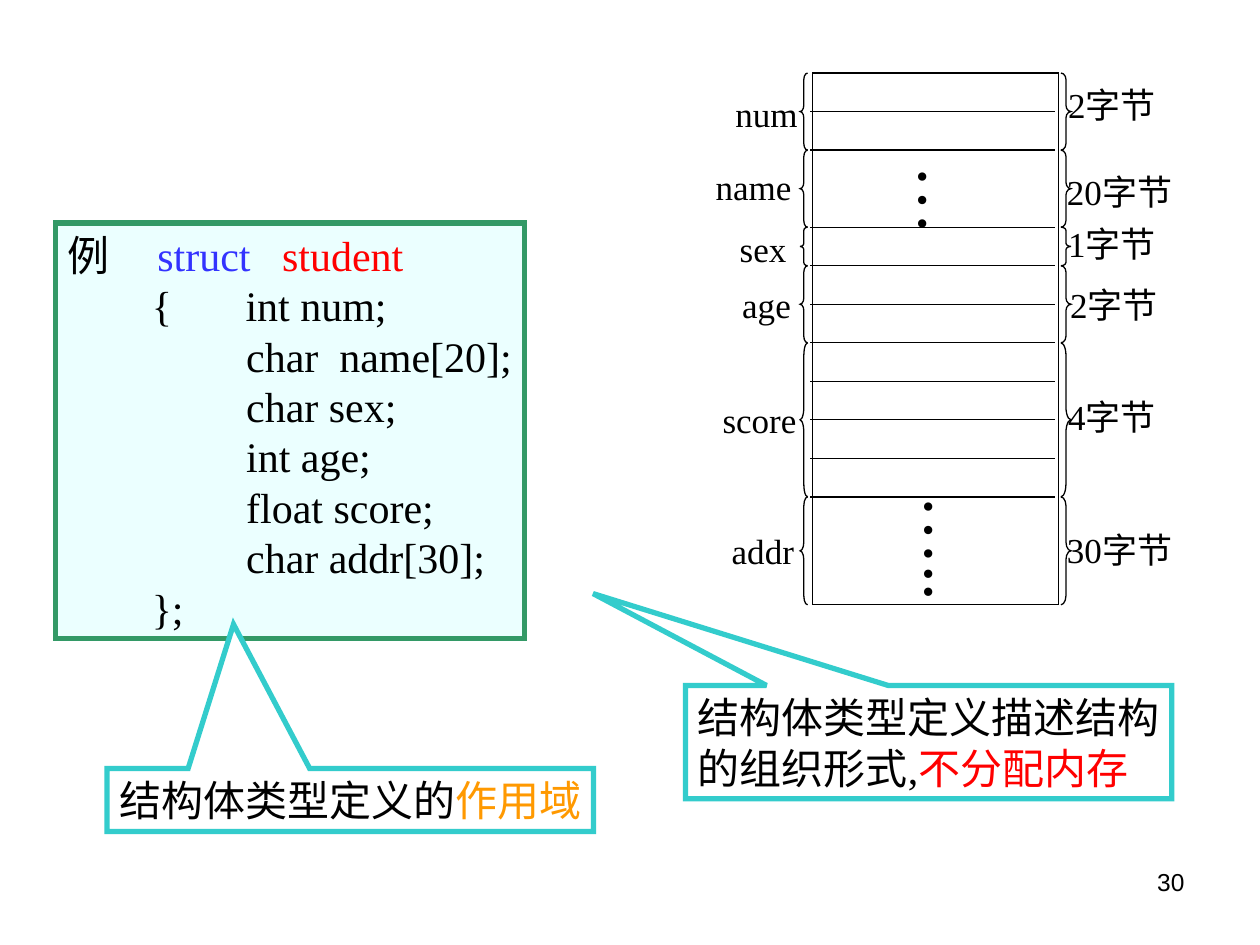
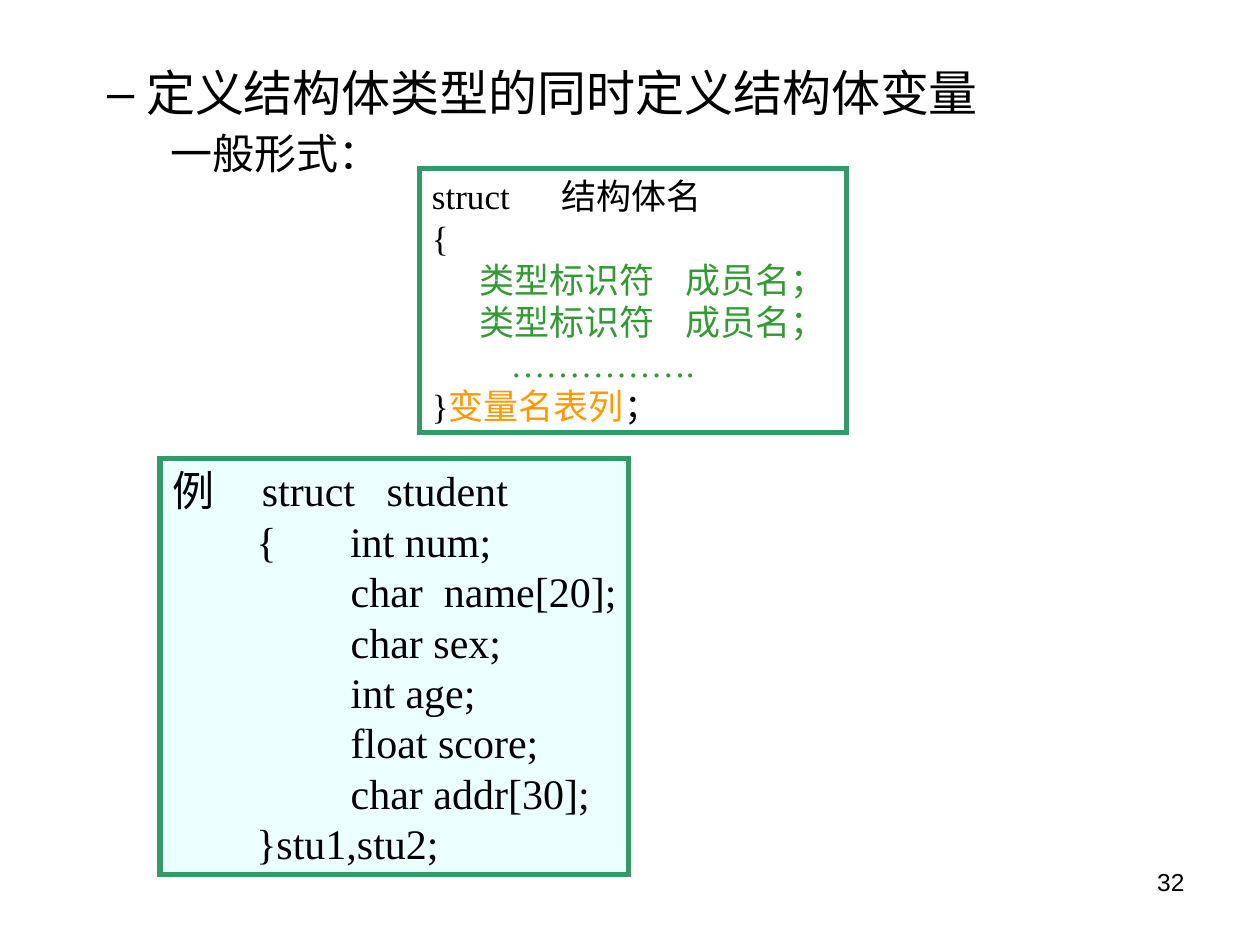
from collections import namedtuple

from lxml import etree
from pptx import Presentation
from pptx.dml.color import RGBColor
from pptx.enum.shapes import MSO_CONNECTOR, MSO_SHAPE
from pptx.enum.text import MSO_ANCHOR, MSO_AUTO_SIZE, PP_ALIGN
from pptx.oxml.ns import qn
from pptx.util import Inches, Pt

RECTANGLE = MSO_SHAPE.RECTANGLE
CALLOUT = MSO_SHAPE.RECTANGULAR_CALLOUT
LEFT_BRACE, RIGHT_BRACE = MSO_SHAPE.LEFT_BRACE, MSO_SHAPE.RIGHT_BRACE
STRAIGHT = MSO_CONNECTOR.STRAIGHT
LEFT, CENTER, RIGHT = PP_ALIGN.LEFT, PP_ALIGN.CENTER, PP_ALIGN.RIGHT
TOP, MIDDLE = MSO_ANCHOR.TOP, MSO_ANCHOR.MIDDLE
NO_AUTOFIT, GROW = MSO_AUTO_SIZE.NONE, MSO_AUTO_SIZE.SHAPE_TO_FIT_TEXT

COLORS = {
    "ink": "000000",
    "paper": "FFFFFF",
    "code_fill": "EBFFFF",
    "code_line": "339966",
    "callout_line": "33CCCC",
    "keyword": "3333FF",
    "red": "FF0000",
    "orange": "FF9900",
    "green": "339933",
}
SERIF, SANS = "Times New Roman", "Arial"
SLIDE_WIDTH, SLIDE_HEIGHT = Inches(10), Inches(7.5)
COLUMN, ROW = SLIDE_WIDTH / 100, SLIDE_HEIGHT / 75

Box = namedtuple("Box", "left top width height")
Field = namedtuple("Field", "name size rows name_shift size_shift")

MEMBERS = ["char  name[20];", "char sex;", "int age;", "float score;", "char addr[30];"]
CODE_TABS = (0.71, 1.41, 1.7)
FIELDS = [
    Field("num", "2字节", 2, (0.3, 0.15), (0, -0.55)),
    Field("name", "20字节", 2, (-0.2, -0.15), (-0.1, 0.2)),
    Field("sex", "1字节", 1, (-0.6, 0.15), (0, -0.2)),
    Field("age", "2字节", 2, (-0.25, 0), (0.15, 0)),
    Field("score", "4字节", 4, (0.2, 0), (0, -0.25)),
    Field("addr", "30字节", 2.8, (0, 0), (-0.1, -0.1)),
]
DIVIDED_ROWS = [1, 2, 4, 5, 6, 7, 8, 9, 10, 11]
MEMORY_ROWS = sum(field.rows for field in FIELDS)


def emu(box):
    return [int(box.left * COLUMN), int(box.top * ROW),
            int(box.width * COLUMN), int(box.height * ROW)]


def color(name):
    return RGBColor.from_string(COLORS[name])


def set_tabs(para, stops):
    tab_list = etree.SubElement(para._p.get_or_add_pPr(), qn("a:tabLst"))
    for stop in stops:
        etree.SubElement(tab_list, qn("a:tab"), pos=str(Inches(stop)), algn="l")


def write(frame, lines, size=24, font=SERIF, align=LEFT, anchor=MIDDLE,
          wrap=True, fit=GROW, tabs=()):
    frame.word_wrap = wrap
    frame.auto_size = fit
    frame.vertical_anchor = anchor
    for index, line in enumerate(lines):
        para = frame.add_paragraph() if index else frame.paragraphs[0]
        para.alignment = align
        if tabs:
            set_tabs(para, tabs)
        for text, ink in [(line, "ink")] if isinstance(line, str) else line:
            span = para.add_run()
            span.text = text
            span.font.size = Pt(size)
            span.font.name = font
            span.font.color.rgb = color(ink)


def add_text(page, box, text, **style):
    label = page.shapes.add_textbox(*emu(box))
    write(label.text_frame, [text], **style)
    return label


def add_outline(page, kind, box, line, weight=3, fill=None):
    shape = page.shapes.add_shape(kind, *emu(box))
    shape.shadow.inherit = False
    shape.line.color.rgb = color(line)
    shape.line.width = Pt(weight)
    etree.SubElement(shape.element.spPr.find(qn("a:ln")), qn("a:miter"), lim="800000")
    shape.text_frame.margin_right = 0
    if fill:
        shape.fill.solid()
        shape.fill.fore_color.rgb = color(fill)
    else:
        shape.fill.background()
    return shape


def add_page_number(page, number):
    add_text(page, Box(71.7, 68.3, 23.3, 5.2), number, size=14, font=SANS,
             align=RIGHT, anchor=TOP, fit=NO_AUTOFIT)


def add_struct_code(page, left, top, heading, closing):
    panel = add_outline(page, RECTANGLE, Box(left, top, 37.2, 33), "code_line", fill="code_fill")
    members = [" " * 17 + member for member in MEMBERS]
    lines = [heading, " " * 8 + "{\tint num;", *members, " " * 8 + closing]
    write(panel.text_frame, lines, tabs=CODE_TABS)


def add_callout(page, box, pointer, lines):
    callout = add_outline(page, CALLOUT, box, "callout_line", fill="paper")
    callout.adjustments[0], callout.adjustments[1] = pointer
    write(callout.text_frame, lines)


def add_divider(page, left, right, height):
    line = page.shapes.add_connector(
        STRAIGHT, int(left * COLUMN), int(height * ROW),
        int(right * COLUMN), int(height * ROW))
    line.line.color.rgb = color("ink")
    line.line.width = Pt(0.75)
    etree.SubElement(line.element.spPr, qn("a:effectLst"))


def add_brace(page, kind, box):
    brace = add_outline(page, kind, box, "ink", 0.75)
    brace.adjustments[0] = box.height / 12 / box.width


def add_vertical_dots(page, box, dots, wrap):
    label = add_text(page, box, dots, size=40, align=CENTER, wrap=wrap)
    frame = label.text_frame
    frame.margin_left = frame.margin_right = Inches(0.05)
    frame.margin_top = frame.margin_bottom = Inches(0.1)
    label.element.txBody.bodyPr.set("vert", "eaVert")


def add_memory_label(page, box, shift, text, align):
    across, down = shift
    moved = box._replace(left=box.left + across, top=box.top + down)
    add_text(page, moved, text, size=20, align=align)


def add_memory_layout(page, box):
    right = box.left + box.width
    row_height = box.height / MEMORY_ROWS
    add_outline(page, RECTANGLE, box, "ink", 0.75)
    for row in DIVIDED_ROWS:
        add_divider(page, box.left - 0.2, right - 0.3, box.top + row * row_height)
    top = box.top
    for field in FIELDS:
        height = field.rows * row_height
        label_top = top + height / 2 - 2.2
        add_brace(page, LEFT_BRACE, Box(box.left - 1, top, 0.6, height))
        add_brace(page, RIGHT_BRACE, Box(right + 0.2, top, 0.8, height))
        add_memory_label(page, Box(box.left - 8.5, label_top, 8, 4.4),
                         field.name_shift, field.name, RIGHT)
        add_memory_label(page, Box(right - 0.2, label_top, 11, 4.4),
                         field.size_shift, field.size, LEFT)
        top += height
    add_vertical_dots(page, Box(box.left + 6.4, box.top + 6.3, 8.6, 5.1), "…", True)
    add_vertical_dots(page, Box(box.left + 6.9, box.top + 32.55, 8.6, 9.4), "…..", False)


def add_topic_list(page, box):
    body = page.placeholders[1]
    body.left, body.top, body.width, body.height = emu(box)
    write(body.text_frame, ["定义结构体类型的同时定义结构体变量", "一般形式："],
          size=28, font=SANS, anchor=TOP, fit=NO_AUTOFIT)
    topic, form = body.text_frame.paragraphs
    for para, level, margin, indent in [(topic, 1, 0.81, -0.31), (form, 2, 1.25, -0.25)]:
        para.level = level
        properties = para._p.get_or_add_pPr()
        properties.set("marL", str(Inches(margin)))
        properties.set("indent", str(Inches(indent)))
        para.line_spacing = 0.9
    etree.SubElement(topic._p.pPr, qn("a:buChar"), char="–")
    etree.SubElement(form._p.pPr, qn("a:buNone"))
    topic.space_before = Pt(0)
    form.space_before = Pt(6)
    form.runs[0].font.size = Pt(24)


def add_general_form(page, box):
    panel = add_outline(page, RECTANGLE, box, "code_line")
    member = [(" " * 6 + "类型标识符\t成员名；", "green")]
    lines = [
        "struct\t结构体名",
        "{",
        member,
        member,
        [(" " * 9 + "…………….", "green")],
        [("}", "ink"), ("变量名表列", "orange"), ("；", "ink")],
    ]
    write(panel.text_frame, lines, size=20, tabs=(1.03, 2.01))


def build_memory_page(deck):
    page = deck.slides.add_slide(deck.slide_layouts[6])
    add_page_number(page, "30")
    heading = [("例\t", "ink"), ("struct\t", "keyword"), ("student", "red")]
    add_struct_code(page, 4.4, 17.7, heading, "};")
    add_memory_layout(page, Box(64.5, 5.8, 19.5, 42.2))
    add_callout(page, Box(54.4, 54.4, 38.6, 9), (-0.69, -1.31),
                ["结构体类型定义描述结构", [("的组织形式,", "ink"), ("不分配内存", "red")]])
    add_callout(page, Box(8.5, 61, 38.6, 5), (-0.24, -2.79),
                [[("结构体类型定义的", "ink"), ("作用域", "orange")]])


def build_variable_page(deck):
    page = deck.slides.add_slide(deck.slide_layouts[1])
    title = page.shapes.title.element
    title.getparent().remove(title)
    add_page_number(page, "32")
    add_topic_list(page, Box(2.5, 5, 94.3, 9.7))
    add_general_form(page, Box(33.3, 13.35, 33.9, 21))
    add_struct_code(page, 12.7, 36.4, "例\tstruct\tstudent", "}stu1,stu2;")


def main():
    deck = Presentation()
    deck.slide_width, deck.slide_height = SLIDE_WIDTH, SLIDE_HEIGHT
    build_memory_page(deck)
    build_variable_page(deck)
    deck.save("out.pptx")


if __name__ == "__main__":
    main()
